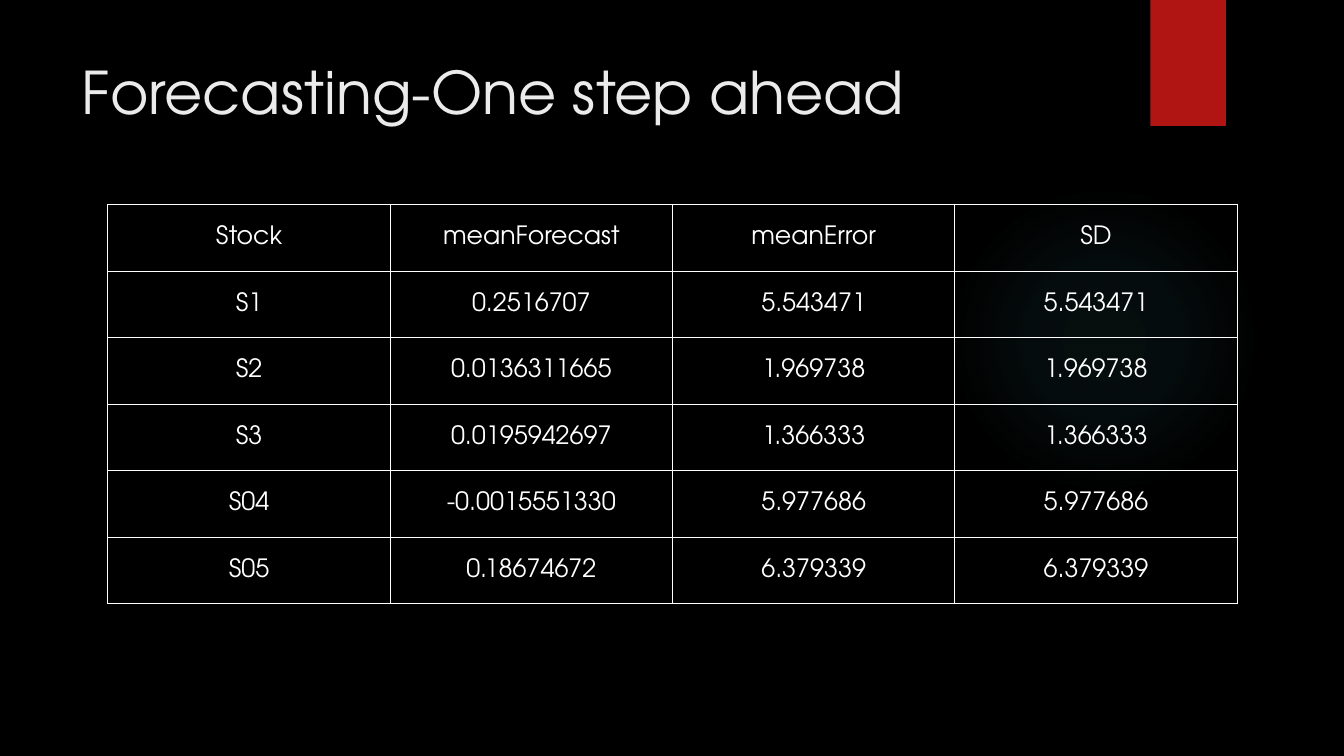
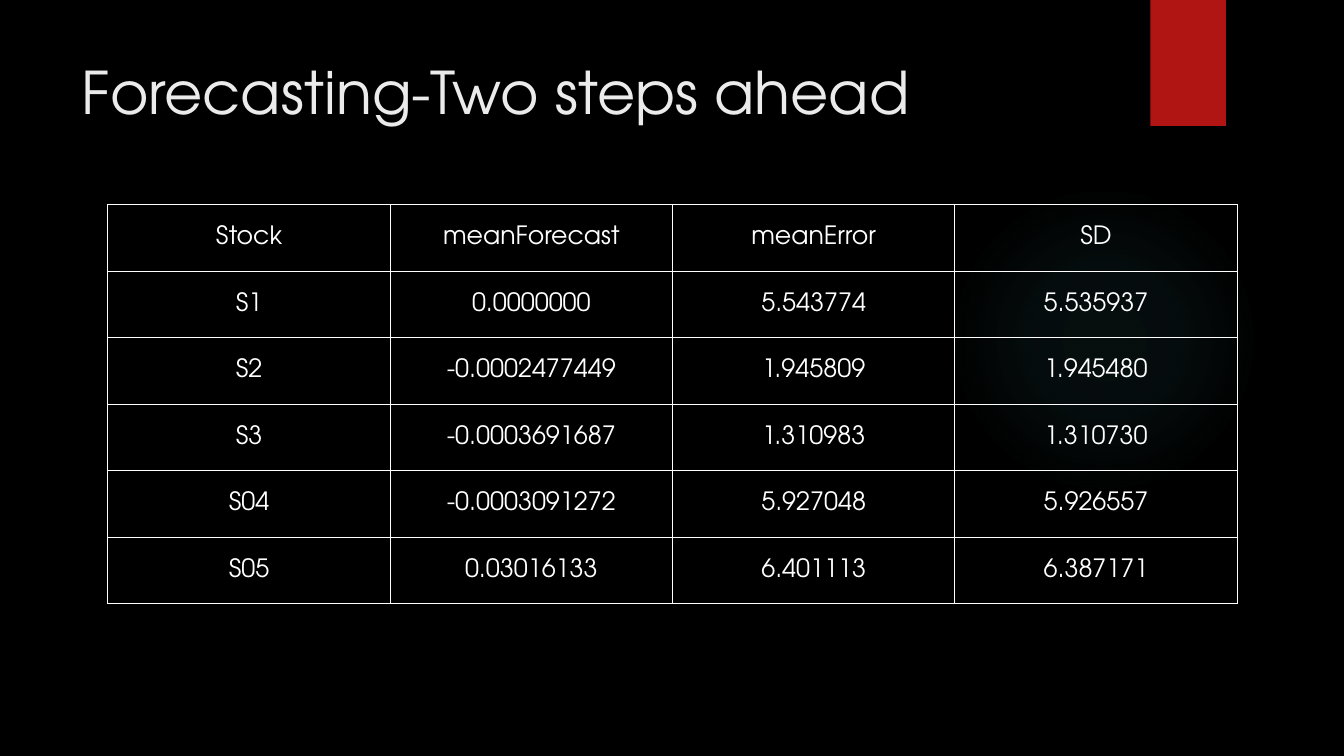
import pptx
import pptx.util
import pptx.dml.color
import pptx.enum.shapes
import pptx.enum.text
import pptx.oxml
import pptx.oxml.ns

PX = 9144
FONT = "TeX Gyre Adventor"
BLACK, WHITE, TITLE_GREY = "000000", "FFFFFF", "EBEBEB"
RED, TEAL = "B01513", "50B9C1"
SLIDE_SIZE = (1333, 750)
GLOW_BOX = (941, 183, 308, 308)
RIBBON_BOX = (1141, 0, 75, 125)
TITLE_BOX = (71, 50, 1029, 153)
TABLE_BOX = (107, 203, 1120, 396)
GLOW_STOPS = ((0, 7), (36, 6), (69, 0))
HEADINGS = ("Stock", "meanForecast", "meanError", "SD")
STOCKS = ("S1", "S2", "S3", "S04", "S05")
FORECASTS = {
    "Forecasting-One step ahead": (
        ("0.2516707", "5.543471", "5.543471"),
        ("0.0136311665", "1.969738", "1.969738"),
        ("0.0195942697", "1.366333", "1.366333"),
        ("-0.0015551330", "5.977686", "5.977686"),
        ("0.18674672", "6.379339", "6.379339"),
    ),
    "Forecasting-Two steps ahead": (
        ("0.0000000", "5.543774", "5.535937"),
        ("-0.0002477449", "1.945809", "1.945480"),
        ("-0.0003691687", "1.310983", "1.310730"),
        ("-0.0003091272", "5.927048", "5.926557"),
        ("0.03016133", "6.401113", "6.387171"),
    ),
}


def emu(*lengths):
    """Turn px lengths into EMU."""
    return [pptx.util.Emu(length * PX) for length in lengths]


def rgb(color):
    """Turn a hex string into a colour."""
    return pptx.dml.color.RGBColor.from_string(color)


def drawing_xml(body):
    """Parse one DrawingML element, given without its prefix declaration."""
    tag, rest = body.split(" ", 1)
    return pptx.oxml.parse_xml(f"{tag} {pptx.oxml.ns.nsdecls('a')} {rest}")


def format_text(paragraph, size, color, align):
    """Set the alignment of a paragraph and the font of its runs."""
    paragraph.alignment = align
    for run in paragraph.runs:
        run.font.name = FONT
        run.font.size = pptx.util.Pt(size)
        run.font.color.rgb = rgb(color)


def add_glow(slide, box):
    """Add the faint round glow."""
    glow = slide.shapes.add_shape(pptx.enum.shapes.MSO_SHAPE.OVAL, *emu(*box))
    glow.shadow.inherit = False
    glow.fill.background()
    glow.line.fill.background()
    stops = "".join(
        f'<a:gs pos="{position * 1000}"><a:srgbClr val="{TEAL}">'
        f'<a:alpha val="{alpha * 1000}"/></a:srgbClr></a:gs>'
        for position, alpha in GLOW_STOPS
    )
    gradient = drawing_xml(
        f'<a:gradFill rotWithShape="1"><a:gsLst>{stops}</a:gsLst><a:path path="circle">'
        '<a:fillToRect l="50000" t="50000" r="50000" b="50000"/></a:path></a:gradFill>'
    )
    properties = glow.element.spPr
    properties.replace(properties.find(pptx.oxml.ns.qn("a:noFill")), gradient)
    return glow


def add_ribbon(slide, box):
    """Add the red ribbon with its soft shadow."""
    ribbon = slide.shapes.add_shape(pptx.enum.shapes.MSO_SHAPE.RECTANGLE, *emu(*box))
    ribbon.shadow.inherit = False
    ribbon.fill.solid()
    ribbon.fill.fore_color.rgb = rgb(RED)
    ribbon.line.fill.background()
    effects = ribbon.element.spPr.find(pptx.oxml.ns.qn("a:effectLst"))
    effects.append(drawing_xml(
        f'<a:outerShdw blurRad="{pptx.util.Pt(3)}" dist="{pptx.util.Pt(2)}" dir="5400000" '
        f'rotWithShape="0"><a:srgbClr val="{BLACK}"><a:alpha val="45000"/></a:srgbClr>'
        '</a:outerShdw>'
    ))
    return ribbon


def decorate_layout(layout, slide):
    """Give the layout its background, glow and ribbon, drawn by way of a slide."""
    background = layout.slide_master.background.fill
    background.solid()
    background.fore_color.rgb = rgb(BLACK)
    tree = layout.shapes.element
    for placeholder in list(layout.placeholders)[1:]:
        tree.remove(placeholder.element)
    for decoration in (add_glow(slide, GLOW_BOX), add_ribbon(slide, RIBBON_BOX)):
        tree.append(decoration.element)


def place_title(slide, heading, box):
    """Fill and place the title placeholder."""
    title = slide.shapes.title
    title.left, title.top, title.width, title.height = emu(*box)
    frame = title.text_frame
    frame.text = heading
    frame.word_wrap = True
    frame.vertical_anchor = pptx.enum.text.MSO_ANCHOR.TOP
    format_text(frame.paragraphs[0], 42, TITLE_GREY, pptx.enum.text.PP_ALIGN.LEFT)


def format_cell(cell, value):
    """Fill a cell with centred text and outline it in white."""
    cell.text_frame.text = value
    cell.vertical_anchor = pptx.enum.text.MSO_ANCHOR.MIDDLE
    cell.fill.background()
    format_text(cell.text_frame.paragraphs[0], 18, WHITE, pptx.enum.text.PP_ALIGN.CENTER)
    properties = cell._tc.get_or_add_tcPr()
    for index, side in enumerate("LRTB"):
        properties.insert(index, drawing_xml(
            f'<a:ln{side} w="{pptx.util.Pt(1)}"><a:solidFill><a:srgbClr val="{WHITE}"/>'
            f'</a:solidFill></a:ln{side}>'
        ))


def place_forecast_table(slide, figures, box):
    """Add the forecast table with equal columns and rows."""
    rows = [HEADINGS, *((stock, *values) for stock, values in zip(STOCKS, figures))]
    forecast = slide.shapes.add_table(len(rows), len(HEADINGS), *emu(*box)).table
    forecast.first_row = False
    forecast.horz_banding = False
    for row_index, values in enumerate(rows):
        for column_index, value in enumerate(values):
            format_cell(forecast.cell(row_index, column_index), value)


def main():
    """Build and save the forecast slides."""
    deck = pptx.Presentation()
    deck.slide_width, deck.slide_height = emu(*SLIDE_SIZE)
    layout = deck.slide_layouts.get_by_name("Title Only")
    slides = [deck.slides.add_slide(layout) for _ in FORECASTS]
    decorate_layout(layout, slides[0])
    for slide, (heading, figures) in zip(slides, FORECASTS.items()):
        place_title(slide, heading, TITLE_BOX)
        place_forecast_table(slide, figures, TABLE_BOX)
    deck.save("out.pptx")


if __name__ == "__main__":
    main()
